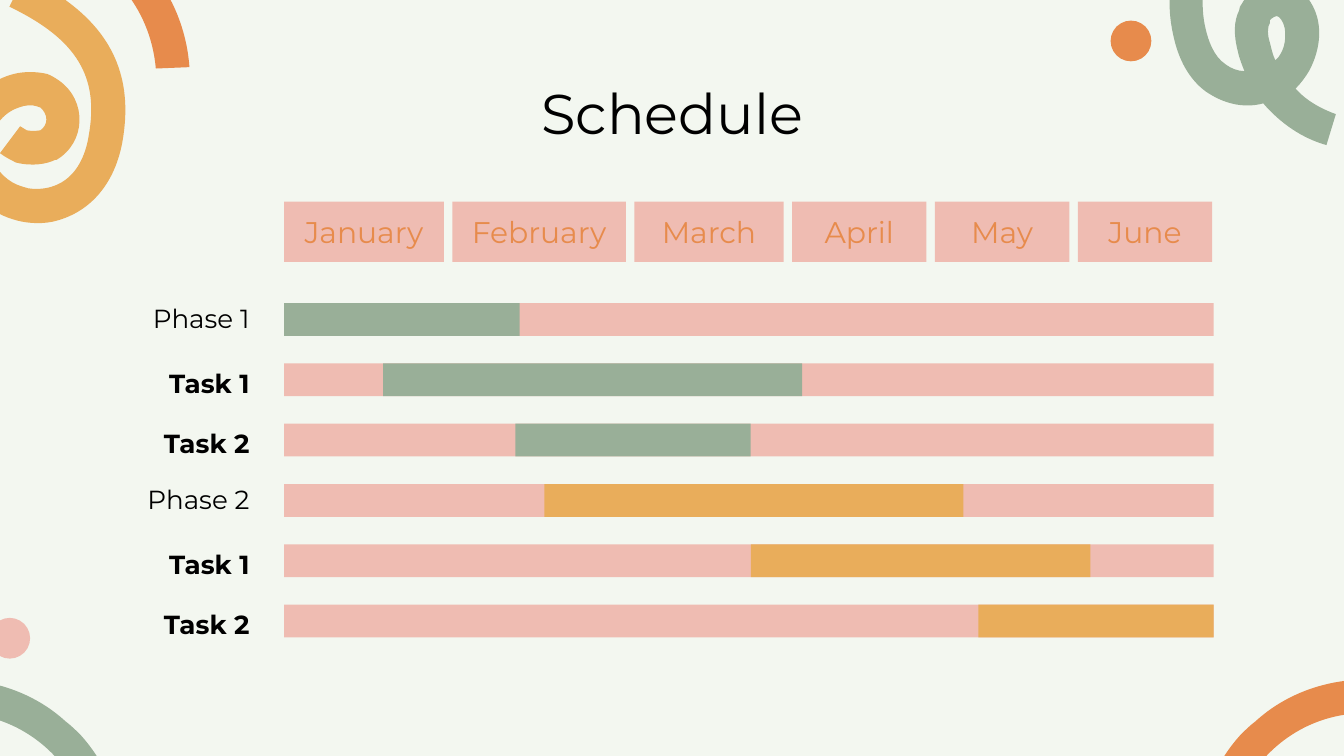
from pptx import Presentation
from pptx.dml.color import RGBColor
from pptx.enum.shapes import MSO_SHAPE
from pptx.enum.text import MSO_ANCHOR, PP_ALIGN
from pptx.oxml.ns import qn
from pptx.util import Cm, Pt

PAPER, PINK, GREEN = "F3F7F0", "EFBCB2", "99AF98"
ORANGE, GOLD, BLACK = "E78B4C", "E9AD5B", "000000"

# Contours in hundredths of an inch: a start point, then lines (2 numbers)
# and cubic curves (6 numbers).
SPIRAL = [
    (9, 163), (-10, 157, -25, 142, -30, 123), (-38, 94, -21, 65, 7, 56),
    (16, 53, 26, 53, 35, 55), (38, 56, 41, 58, 44, 60),
    (65, 75, 64, 106, 42, 119), (41, 119), (35, 122, 24, 124, 12, 121),
    (8, 119, 4, 117, 0, 114), (15, 94), (17, 95, 18, 96, 20, 97),
    (25, 98, 29, 97, 30, 97), (36, 93, 36, 85, 30, 80),
    (29, 80, 28, 79, 27, 79), (24, 78, 19, 78, 14, 80),
    (-1, 85, -10, 101, -6, 117), (-3, 127, 6, 136, 17, 139),
    (22, 141, 28, 141, 34, 140), (57, 136, 64, 114, 66, 101),
    (74, 57, 57, 29, 7, 5), (18, -18), (78, 11, 101, 50, 91, 106),
    (85, 138, 66, 159, 39, 165), (29, 167, 18, 166, 9, 163),
]
HOLE = [
    (945, 15), (947, 13, 949, 12, 950, 12), (952, 12, 955, 16, 956, 21),
    (957, 28, 956, 35, 953, 40), (952, 42, 951, 43, 949, 45),
    (947, 41, 946, 36, 945, 32), (943, 26, 943, 20, 945, 17),
    (945, 16, 945, 16, 945, 15),
]
LOOP = [
    (878, -39), (870, -18, 868, 4, 873, 26), (877, 45, 885, 59, 897, 68),
    (910, 77, 925, 81, 940, 77), (953, 92, 969, 103, 987, 108), (994, 85),
    (983, 81, 972, 75, 964, 66), (968, 62, 971, 58, 974, 53),
    (980, 42, 983, 29, 981, 17), (979, 4, 969, -12, 952, -13),
    (941, -14, 930, -8, 924, 3), (923, 4, 922, 6, 922, 8),
    (918, 16, 918, 26, 921, 38), (922, 43, 924, 48, 926, 53),
    (921, 53, 916, 51, 912, 48), (903, 42, 899, 30, 897, 21),
    (893, 4, 895, -14, 901, -30), (878, -39),
]
ARC = [
    (10, -42), (42, -44, 71, -31, 91, -9), (105, 7, 114, 28, 116, 51),
    (141, 50), (139, 22, 128, -5, 109, -26), (106, -29, 102, -33, 98, -36),
    (74, -58, 41, -69, 8, -67), (10, -42),
]

MONTHS = [("January", 3.02), ("February", 3.28), ("March", 2.82),
          ("April", 2.54), ("May", 2.54), ("June", 2.54)]
# label, bar offset, bar length, bar colour
TASKS = [("Phase 1", 0, 4.45, GREEN), ("Task 1", 1.87, 7.92, GREEN),
         ("Task 2", 4.37, 4.45, GREEN), ("Phase 2", 4.92, 7.92, GOLD),
         ("Task 1", 8.82, 6.42, GOLD), ("Task 2", 13.12, 4.45, GOLD)]
LEFT, WIDTH, GAP = 5.37, 17.57, 0.16
TOP, PITCH, THICK = 5.73, 1.14, 0.62


def tint(code):
    return RGBColor.from_string(code)


def write(frame, words, size=14, color=BLACK, bold=False, inset=0,
          align=PP_ALIGN.CENTER, anchor=MSO_ANCHOR.TOP, space=None):
    frame.word_wrap = True
    frame.margin_left = frame.margin_right = Cm(inset)
    frame.margin_top = frame.margin_bottom = Cm(inset)
    frame.vertical_anchor = anchor
    para = frame.paragraphs[0]
    para.alignment, para.line_spacing = align, space
    run = para.add_run()
    run.text = words
    run.font.name, run.font.size = "Montserrat", Pt(size)
    run.font.bold = bold
    run.font.color.rgb = tint(color)


def bend(shape, parts):
    """Turn each run of three line steps that stands for a curve into one."""
    steps = iter(list(shape._element.iter(qn("a:lnTo"))))
    for part in parts:
        first = next(steps)
        if len(part) == 6:
            first.tag = qn("a:cubicBezTo")
            for _ in range(2):
                step = next(steps)
                first.append(step[0])
                step.getparent().remove(step)


class Board:
    def __init__(self, slide):
        self.shapes = slide.shapes
        slide.background.fill.solid()
        slide.background.fill.fore_color.rgb = tint(PAPER)

    def paint(self, shape, color):
        shape.shadow.inherit = False
        shape.fill.solid()
        shape.fill.fore_color.rgb = tint(color)
        shape.line.fill.background()
        return shape

    def block(self, x, y, w, h, color, kind=MSO_SHAPE.RECTANGLE, group=None):
        shapes = group.shapes if group else self.shapes
        shape = shapes.add_shape(kind, Cm(x), Cm(y), Cm(w), Cm(h))
        return self.paint(shape, color)

    def dot(self, x, y, color):
        self.block(x, y, 0.77, 0.77, color, MSO_SHAPE.OVAL)

    def curl(self, color, *lines, dx=0, dy=0, flip=1):
        """Draw contours as one filled shape, shifted and maybe mirrored."""
        pen = None
        for line in lines:
            dots = [(Cm((flip * part[i] + dx) * 0.0254),
                     Cm((part[i + 1] + dy) * 0.0254))
                    for part in line for i in range(0, len(part), 2)]
            if pen is None:
                pen = self.shapes.build_freeform(*dots[0], scale=1.0)
            else:
                pen.move_to(*dots[0])
            pen.add_line_segments(dots[1:-1] + [dots[-1]], close=True)
        shape = self.paint(pen.convert_to_shape(), color)
        bend(shape, [part for line in lines for part in line[1:]])

    def label(self, x, y, w, h, words, **style):
        box = self.shapes.add_textbox(Cm(x), Cm(y), Cm(w), Cm(h))
        write(box.text_frame, words, **style)

    def month(self, x, w, name):
        box = self.block(x, 3.81, w, 1.14, PINK)
        write(box.text_frame, name, size=16, color=ORANGE,
              anchor=MSO_ANCHOR.MIDDLE)

    def name(self, y, words):
        bold = words.startswith("Task")
        self.label(2.46, y, 2.26, 0.74, words, bold=bold,
                   align=PP_ALIGN.RIGHT, space=1.15 if bold else None)

    def bar(self, y, start, span, color):
        group = self.shapes.add_group_shape()
        self.block(LEFT, y, WIDTH, THICK, PINK, group=group)
        self.block(LEFT + start, y, span, THICK, color, group=group)


def main():
    deck = Presentation()
    deck.slide_width, deck.slide_height = Cm(25.4), Cm(14.29)
    board = Board(deck.slides.add_slide(deck.slide_layouts[6]))

    board.curl(GOLD, SPIRAL)
    board.dot(20.99, 0.39, ORANGE)
    board.curl(GREEN, HOLE, LOOP)
    board.curl(ORANGE, ARC)
    board.curl(GREEN, ARC, dx=-49, dy=573)
    board.curl(ORANGE, ARC, dx=1032, dy=573, flip=-1)
    board.dot(-0.2, 11.68, PINK)

    board.label(2.08, 1.23, 21.26, 1.6, "Schedule", size=30, inset=0.25)
    x = LEFT
    for name, width in MONTHS:
        board.month(x, width, name)
        x += width + GAP
    for row, task in enumerate(TASKS):
        board.name(TOP - 0.02 + row * PITCH, task[0])
    for row, task in enumerate(TASKS):
        board.bar(TOP + row * PITCH, *task[1:])
    deck.save("out.pptx")


if __name__ == "__main__":
    main()
